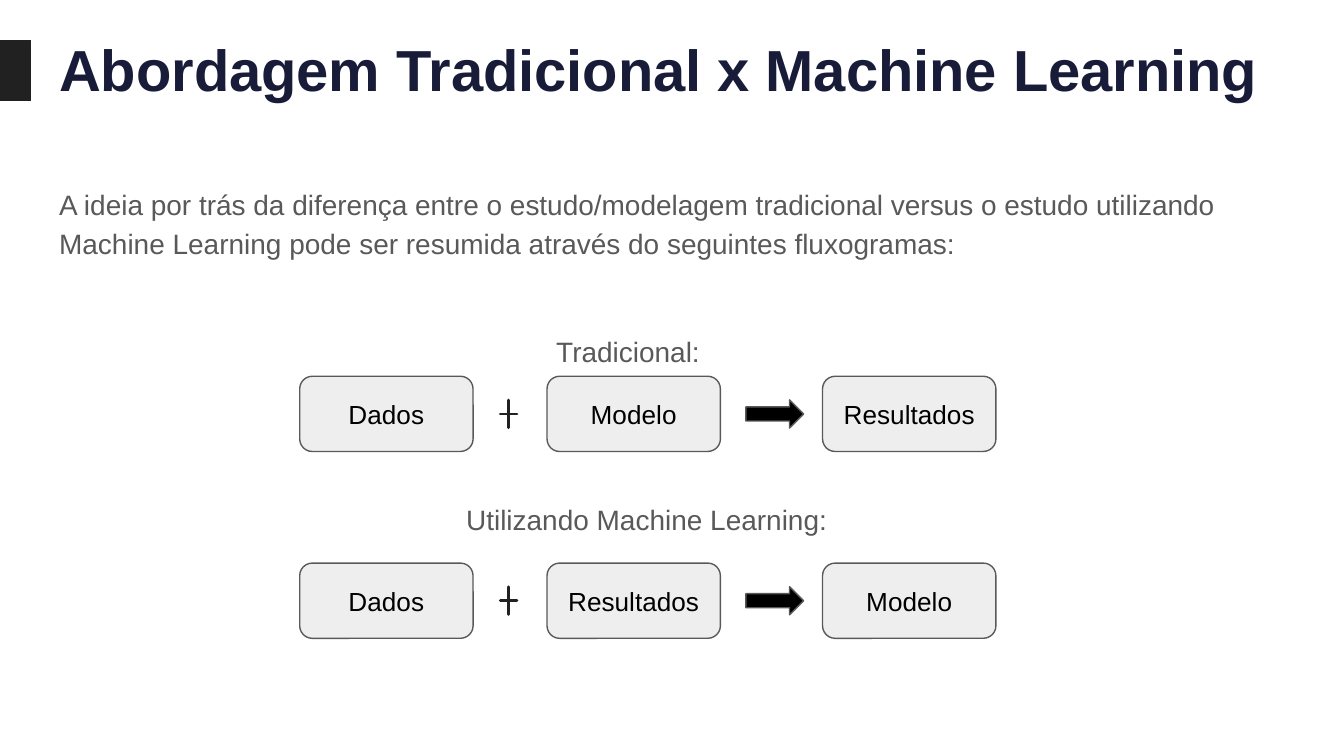
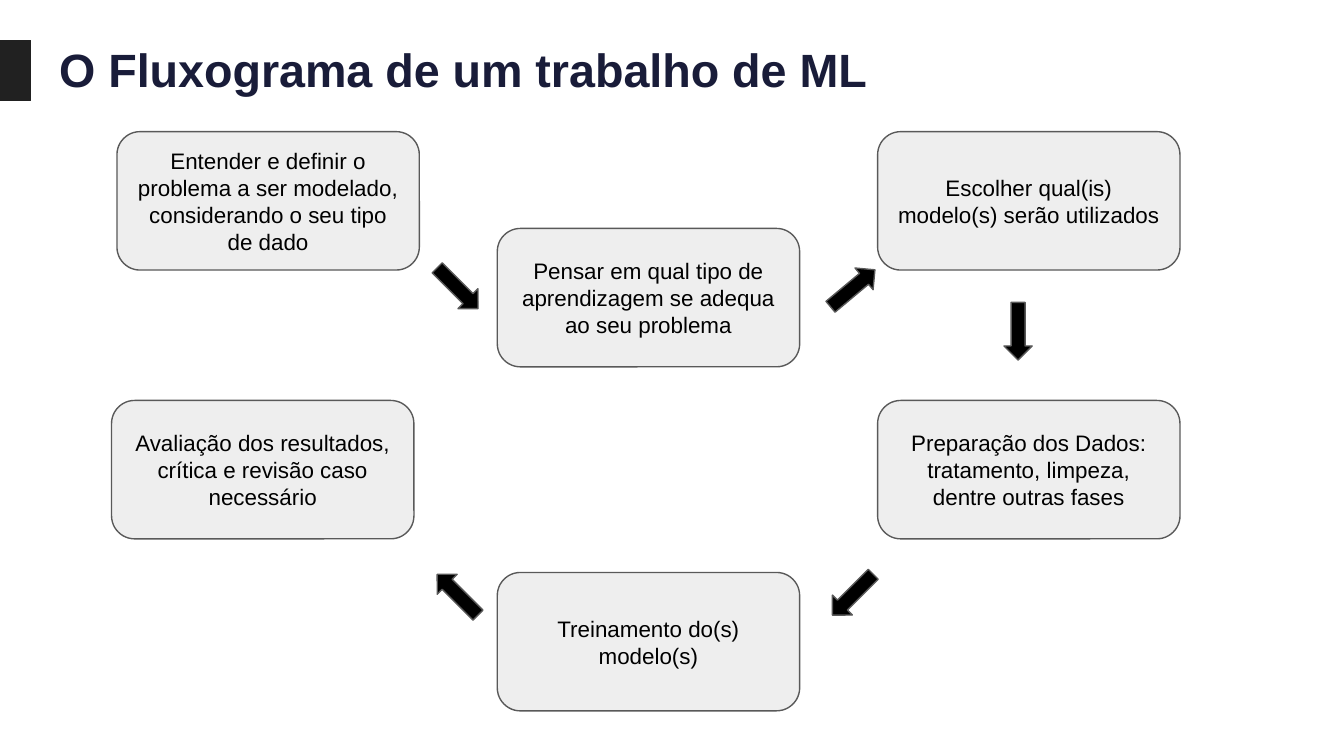
from lxml import etree
from pptx import Presentation
from pptx.dml.color import RGBColor
from pptx.enum import shapes, text
from pptx.oxml.ns import qn
from pptx.util import Inches, Pt

# Shared look
FONT = "Arial"
NAVY = RGBColor(0x19, 0x1C, 0x39)
DARK = RGBColor(0x21, 0x21, 0x21)
GRAY = RGBColor(0x59, 0x59, 0x59)
PALE = RGBColor(0xEE, 0xEE, 0xEE)
BLACK = RGBColor(0, 0, 0)
KIND = shapes.MSO_SHAPE
ALIGN = text.PP_ALIGN
ANCHOR = text.MSO_ANCHOR

# Slide 1: two flows of three boxes
HEAD1 = "Abordagem Tradicional x Machine Learning"
INTRO = ("A ideia por trás da diferença entre o estudo/modelagem tradicional "
         "versus o estudo utilizando Machine Learning pode ser resumida "
         "através do seguintes fluxogramas:")
FLOWS = [  # caption, caption area, top of row, boxes
    ("Tradicional:", (4.04, 2.35, 1.55, 0.45), 2.8,
     ("Dados", "Modelo", "Resultados")),
    ("Utilizando Machine Learning:", (3.37, 3.6, 2.9, 0.45), 4.19,
     ("Dados", "Resultados", "Modelo")),
]
COLS = (2.23, 4.07, 6.12)
BOX = (1.29, 0.56)
PLUS = (0.17, 0.28)
ARROW = (0.43, 0.21)

# Slide 2: a ring of steps
HEAD2 = "O Fluxograma de um trabalho de ML"
STEP = (2.25, 1.03)
STEPS = [  # left, top, label
    (0.87, 0.98, "Entender e definir o problema a ser modelado, "
                 "considerando o seu tipo de dado"),
    (3.7, 1.7, "Pensar em qual tipo de aprendizagem se adequa ao seu problema"),
    (6.53, 0.98, "Escolher qual(is) modelo(s) serão utilizados"),
    (6.53, 2.98, "Preparação dos Dados: tratamento, limpeza, "
                 "dentre outras fases"),
    (3.7, 4.26, "Treinamento do(s) modelo(s)"),
    (0.83, 2.98, "Avaliação dos resultados, crítica e revisão caso necessário"),
]
TURNS = [  # left, top, angle of each arrow
    (3.19, 2.04, 45), (6.13, 2.04, 320.2), (7.36, 2.36, 90),
    (6.13, 4.32, 135), (3.19, 4.32, 225),
]


def place(item, area):
    item.left, item.top, item.width, item.height = map(Inches, area)


def write(item, words, size, color, align=ALIGN.LEFT, anchor=ANCHOR.MIDDLE,
          bold=False):
    frame = item.text_frame
    frame.word_wrap = True
    frame.auto_size = text.MSO_AUTO_SIZE.NONE
    frame.vertical_anchor = anchor
    frame.margin_left = frame.margin_right = Inches(0.1)
    frame.margin_top = frame.margin_bottom = Inches(0.1)
    para = frame.paragraphs[0]
    para.alignment = align
    para.space_before = Pt(0)
    run = para.add_run()
    run.text = words
    font = run.font
    font.name, font.size, font.bold = FONT, Pt(size), bold
    font.color.rgb = color
    return para


def prose(item, words):
    para = write(item, words, 15, GRAY, anchor=ANCHOR.TOP)
    para.line_spacing = 1.15
    para.space_after = Pt(16)
    return para


def draw(slide, kind, area, fill, line=GRAY, width=0.75):
    item = slide.shapes.add_shape(kind, *map(Inches, area))
    item.shadow.inherit = False
    item.fill.solid()
    item.fill.fore_color.rgb = fill
    item.line.color.rgb = line
    item.line.width = Pt(width)
    return item


def box(slide, area, words, size):
    item = draw(slide, KIND.ROUNDED_RECTANGLE, area, PALE)
    write(item, words, size, BLACK, ALIGN.CENTER)


def arrow(slide, left, top, angle=0):
    item = draw(slide, KIND.RIGHT_ARROW, (left, top, *ARROW), BLACK)
    item.rotation = angle


def start(deck, layout, words, size):
    slide = deck.slides.add_slide(deck.slide_layouts[layout])
    title = slide.shapes.title
    place(title, (0.34, 0.17, 9.13, 0.68))
    write(title, words, size, NAVY, bold=True)
    draw(slide, KIND.RECTANGLE, (0, 0.3, 0.23, 0.45), DARK, DARK)
    return slide


def compare(deck):
    slide = start(deck, 1, HEAD1, 31)
    body = slide.placeholders[1]
    place(body, (0.34, 1.26, 9.32, 0.68))
    # Plain paragraph: no bullet, no indent
    props = prose(body, INTRO)._p.get_or_add_pPr()
    props.set("marL", "0")
    props.set("indent", "0")
    etree.SubElement(props, qn("a:buNone"))

    for label, area, top, names in FLOWS:
        mid = top + BOX[1] / 2
        for left, name in zip(COLS, names):
            box(slide, (left, top, *BOX), name, 14)
        plus = draw(slide, KIND.MATH_PLUS, (3.7, mid - PLUS[1] / 2, *PLUS),
                    PALE, DARK, 1.5)
        plus.adjustments[0] = 0
        arrow(slide, 5.55, mid - ARROW[1] / 2)
        prose(slide.shapes.add_textbox(*map(Inches, area)), label)


def cycle(deck):
    slide = start(deck, 5, HEAD2, 25)
    for left, top, words in STEPS:
        box(slide, (left, top, *STEP), words, 12)
    for turn in TURNS:
        arrow(slide, *turn)


def main():
    deck = Presentation()
    # Widescreen, 16:9
    deck.slide_width = Inches(10)
    deck.slide_height = Inches(10 * 9 / 16)
    compare(deck)
    cycle(deck)
    deck.save("out.pptx")


if __name__ == "__main__":
    main()
